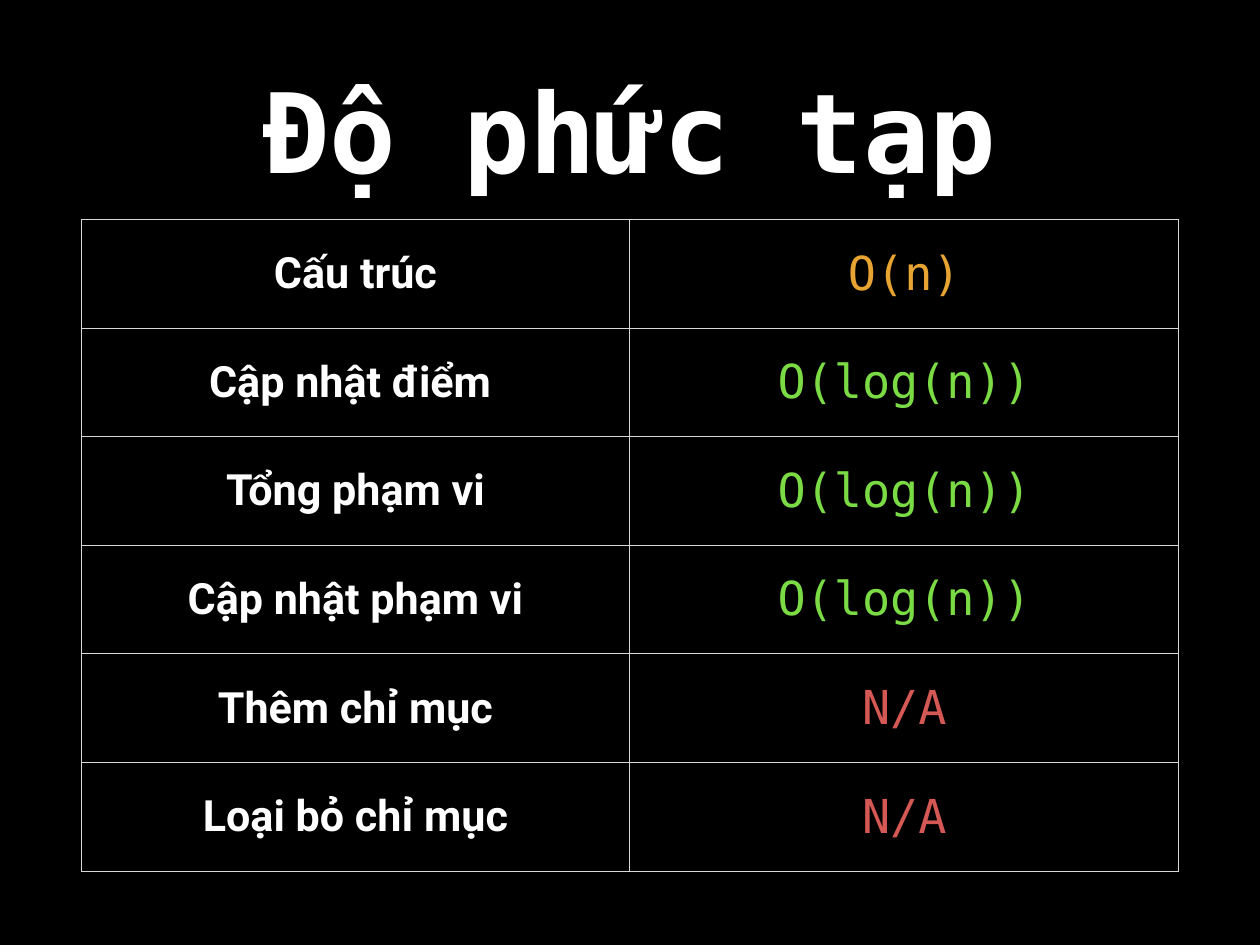
from lxml import etree
from pptx import Presentation
from pptx.dml.color import RGBColor
from pptx.enum import text
from pptx.oxml import ns
from pptx.util import Pt

BLACK = RGBColor(0x00, 0x00, 0x00)
WHITE = RGBColor(0xFF, 0xFF, 0xFF)
ORANGE = RGBColor(0xE8, 0xA4, 0x32)
GREEN = RGBColor(0x7B, 0xDB, 0x45)
RED = RGBColor(0xD4, 0x58, 0x54)
GRID = RGBColor(0xD6, 0xD7, 0xD6)

MARGIN = Pt(4)
TITLE_FONT = {"name": "DejaVu Sans Mono", "size": Pt(90), "bold": True}
LABEL_FONT = {"name": "Roboto", "size": Pt(35), "bold": True}
VALUE_FONT = {"name": "DejaVu Sans Mono", "size": Pt(38), "bold": False}

OPERATIONS = [
    ("Cấu trúc", "O(n)", ORANGE),
    ("Cập nhật điểm ", "O(log(n))", GREEN),
    ("Tổng phạm vi", "O(log(n))", GREEN),
    ("Cập nhật phạm vi", "O(log(n))", GREEN),
    ("Thêm chỉ mục", "N/A", RED),
    ("Loại bỏ chỉ mục", "N/A", RED),
]


def write_centred(holder, frame, wording, font_format, colour):
    """Set centred text in a frame; holder carries the margins and anchor."""
    for side in ("left", "right", "top", "bottom"):
        setattr(holder, f"margin_{side}", MARGIN)
    holder.vertical_anchor = text.MSO_ANCHOR.MIDDLE
    paragraph = frame.paragraphs[0]
    paragraph.alignment = text.PP_ALIGN.CENTER
    run = paragraph.add_run()
    run.text = wording
    for name, value in font_format.items():
        setattr(run.font, name, value)
    run.font.color.rgb = colour


def add_borders(cell):
    properties = cell._tc.get_or_add_tcPr()
    for side in "LRTB":
        line = etree.SubElement(properties, ns.qn(f"a:ln{side}"), w=str(Pt(1)))
        fill = etree.SubElement(line, ns.qn("a:solidFill"))
        etree.SubElement(fill, ns.qn("a:srgbClr"), val=str(GRID))


presentation = Presentation()
presentation.slide_width = Pt(1024)
presentation.slide_height = Pt(768)
slide = presentation.slides.add_slide(presentation.slide_layouts[6])
slide.background.fill.solid()
slide.background.fill.fore_color.rgb = BLACK

title = slide.shapes.add_textbox(Pt(75), Pt(20), Pt(874), Pt(170))
title.text_frame.word_wrap = True
write_centred(title.text_frame, title.text_frame, "Độ phức tạp", TITLE_FONT, WHITE)

table = slide.shapes.add_table(
    len(OPERATIONS), 2, Pt(66), Pt(178.5), Pt(892), Pt(529.5)
).table
table.first_row = False
table.horz_banding = False

for row, (operation, complexity, colour) in enumerate(OPERATIONS):
    label, value = table.cell(row, 0), table.cell(row, 1)
    write_centred(label, label.text_frame, operation, LABEL_FONT, WHITE)
    write_centred(value, value.text_frame, complexity, VALUE_FONT, colour)
    for cell in (label, value):
        add_borders(cell)
        cell.fill.background()

presentation.save("out.pptx")
